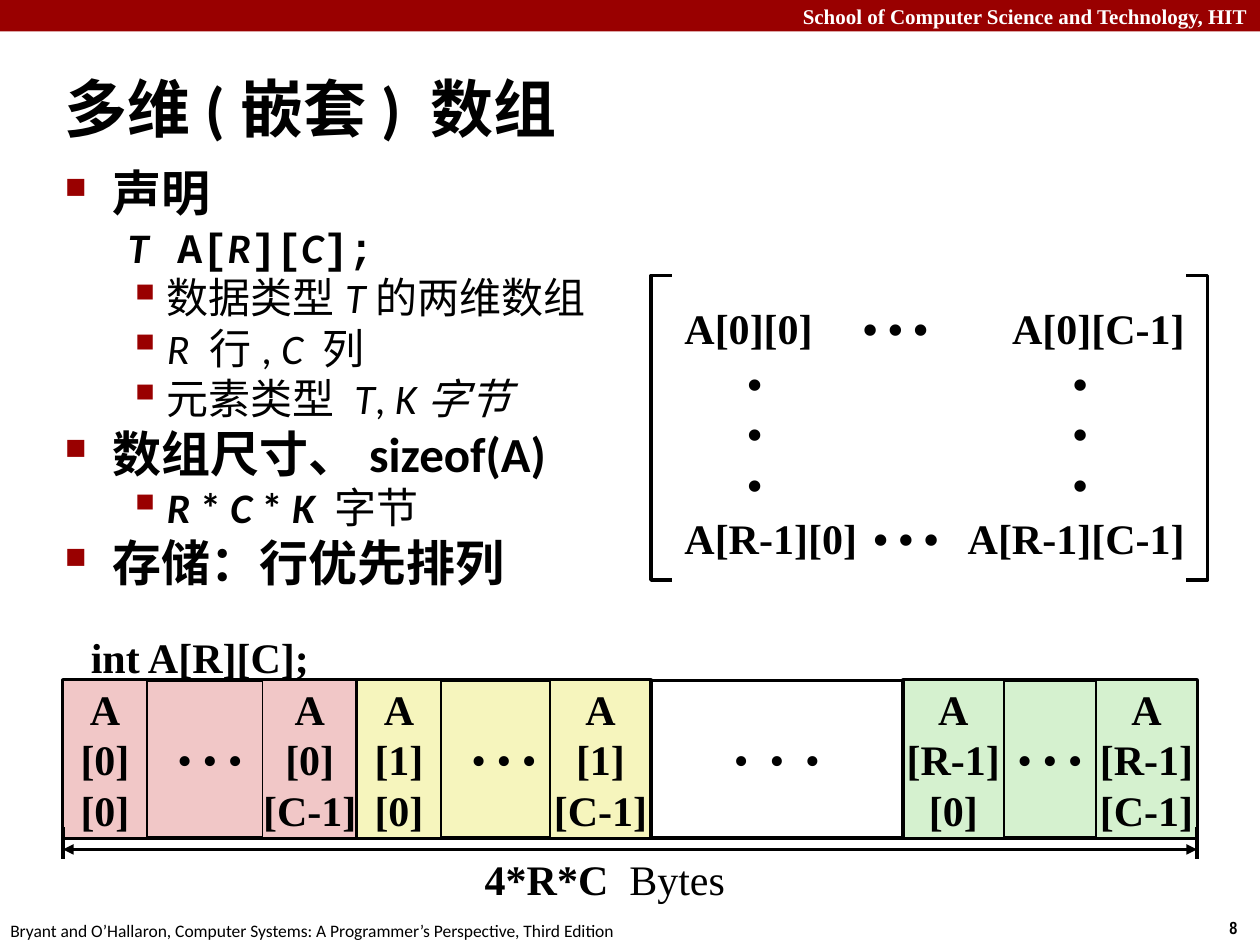
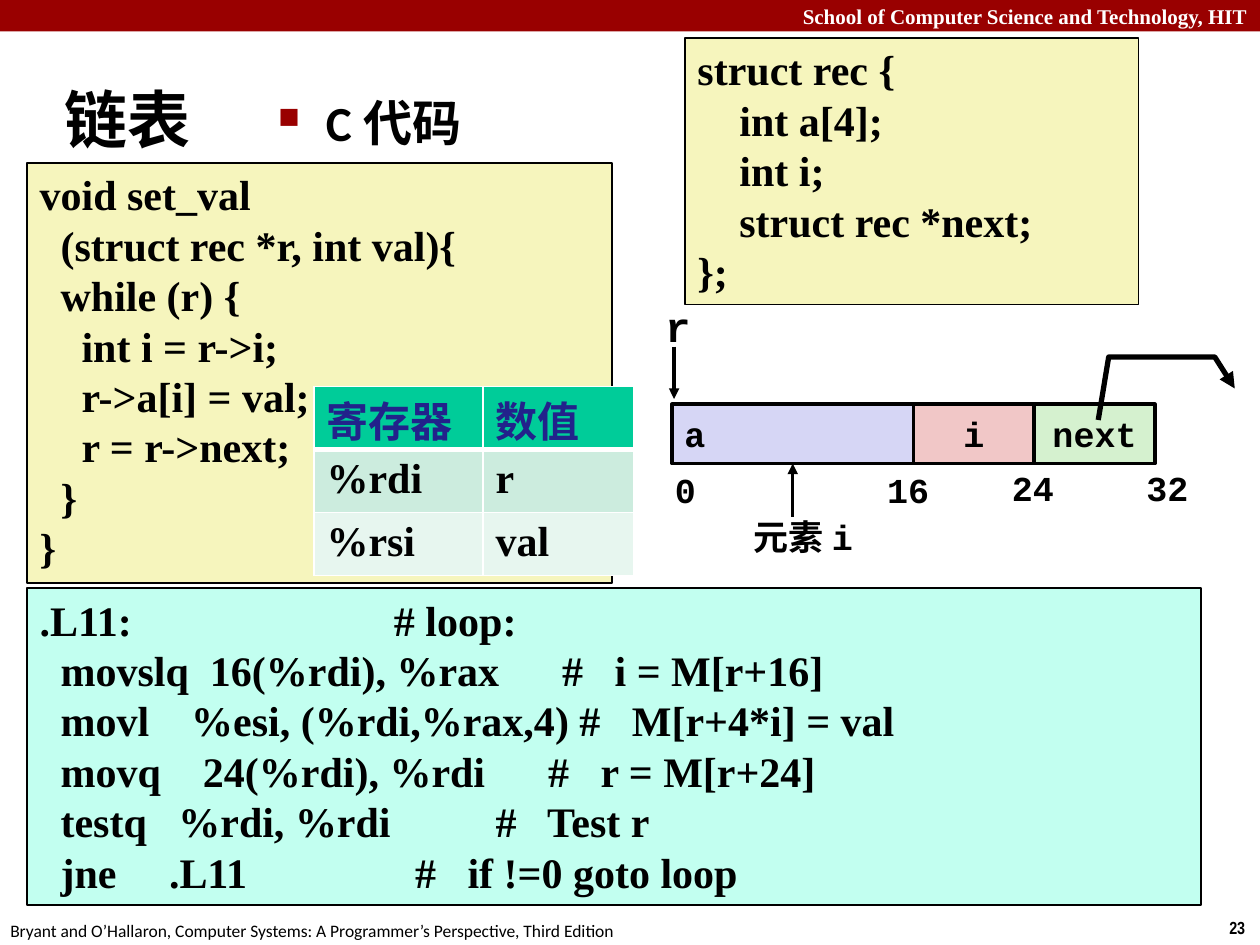
from lxml.etree import SubElement as Sub
from pptx import Presentation
from pptx.dml.color import RGBColor as Rgb
from pptx.enum.shapes import MSO_CONNECTOR as Conn, MSO_SHAPE as Kind
from pptx.enum.text import MSO_ANCHOR as Anchor, PP_ALIGN as Align
from pptx.oxml import parse_xml
from pptx.oxml.ns import nsdecls, qn
from pptx.util import Emu, Inches, Pt

UNIT = 76200
COLS, ROWS = 120, 90
RED, BLACK, WHITE = "990000", "000000", "FFFFFF"
PINK, CREAM, GREEN, LILAC, MINT = "F1C7C7", "F6F5BD", "D5F1CF", "D6D6F5", "C2FFF0"
TIMES = {"name": "Times New Roman", "size": Pt(24), "bold": True}
THIN = {"bold": False}
PLAIN = TIMES | THIN
SANS = TIMES | {"name": "Calibri"}
HEAD = SANS | {"size": Pt(36)}
MAIN = SANS | {"size": Pt(28)}
MONO = TIMES | {"name": "Courier New", "size": Pt(20)}
FOOT = {"name": "Calibri", "size": Pt(10)}
PAGE = {"name": "Arial Narrow", "size": Pt(10), "bold": True}
ITAL = {"italic": True}
FIXED = {"name": "Courier New"}
BULLETS = {0: ("■", 60, 0.38, 0.38), 1: ("▪", 110, 0.81, 0.31)}
DOTS = "• • •"


def hue(code):
    return Rgb.from_string(code)


def emu(n):
    return Emu(round(n * UNIT))


def inner(area, x, y, w, h):
    return area[0] + x, area[1] + y, w, h


def style(run, look, color=BLACK):
    for key, val in look.items():
        setattr(run.font, key, val)
    run.font.color.rgb = hue(color)
    Sub(run._r.get_or_add_rPr(), qn("a:ea"), typeface=look["name"])


def fill_text(para, runs, look, color=BLACK):
    for part in [runs] if isinstance(runs, str) else runs:
        words, extra = (part, {}) if isinstance(part, str) else part
        run = para.add_run()
        run.text = words
        style(run, look | extra, color)


def edge(shape, color, width, ends=()):
    shape.line.color.rgb = hue(color)
    shape.line.width = Pt(width)
    ln = shape._element.spPr.find(qn("a:ln"))
    for end in ends:
        Sub(ln, qn(f"a:{end}End"), type="triangle")


def put(s, area, lines, look=TIMES, align=Align.LEFT, fill=None, line=0,
        mid=True, wrap=False, color=BLACK):
    spot = [emu(n) for n in area]
    if fill:
        shape = s.shapes.add_shape(Kind.RECTANGLE, *spot)
        shape.shadow.inherit = False
        shape.fill.solid()
        shape.fill.fore_color.rgb = hue(fill)
        if line:
            edge(shape, BLACK, line)
        else:
            shape.line.fill.background()
    else:
        shape = s.shapes.add_textbox(*spot)
    frame = shape.text_frame
    frame.word_wrap = wrap
    frame.vertical_anchor = Anchor.MIDDLE if mid else Anchor.TOP
    for i, runs in enumerate(lines):
        para = frame.add_paragraph() if i else frame.paragraphs[0]
        para.alignment = align
        fill_text(para, runs, look, color)
    return shape


def link(s, x1, y1, x2, y2, ends=()):
    line = s.shapes.add_connector(Conn.STRAIGHT, *map(emu, (x1, y1, x2, y2)))
    edge(line, BLACK, 2, ends)
    Sub(line._element.spPr, qn("a:effectLst"))
    return line


def bend(s, area, spots, width, ends=()):
    (x, y), *rest = [(emu(area[0] + x), emu(area[1] + y)) for x, y in spots]
    pen = s.shapes.build_freeform(x, y)
    pen.add_line_segments(rest, close=False)
    shape = pen.convert_to_shape()
    shape.shadow.inherit = False
    shape.fill.background()
    edge(shape, BLACK, width, ends)


def frame(s, page):
    put(s, (0, 0, COLS, 3), ["School of Computer Science and Technology, HIT"],
        TIMES | {"size": Pt(12)}, Align.RIGHT, RED, color=WHITE)
    put(s, (115.9, 86.7, 4.1, 3.2), [str(page)], PAGE, mid=False)
    put(s, (-0.2, 87, 61, 3.2),
        ["Bryant and O’Hallaron, Computer Systems: A Programmer’s Perspective, Third Edition"],
        FOOT, mid=False)


def title(s, area, words):
    put(s, area, [words], HEAD, wrap=True)


def points(s, area, rows):
    shape = put(s, area, [], mid=False, wrap=True)
    text = shape.text_frame
    for i, (level, mark, runs) in enumerate(rows):
        para = text.add_paragraph() if i else text.paragraphs[0]
        para.level = level
        char, size, left, hang = BULLETS[level]
        props = para._p.get_or_add_pPr()
        props.set("marL", str(Inches(left)))
        props.set("indent", str(-Inches(hang)))
        if mark:
            Sub(Sub(props, qn("a:buClr")), qn("a:srgbClr"), val=RED)
            Sub(props, qn("a:buSzPct"), val=str(size * 1000))
            Sub(props, qn("a:buChar"), char=char)
        fill_text(para, runs, SANS if level else MAIN)


def matrix(s, area):
    w, h = area[2:]
    for y, lead, left, right in ((2, 19, "A[0][0]", "A[0][C-1]"),
                                 (22, 20, "A[R-1][0]", "A[R-1][C-1]")):
        put(s, inner(area, 2, y, 16, 6), [left], fill=WHITE)
        put(s, inner(area, lead, y, 12, 6), [DOTS], fill=WHITE)
        put(s, inner(area, 36, y, 16, 6), [right], align=Align.RIGHT, fill=WHITE)
    for x in (8, 39):
        put(s, inner(area, x, 10, 6, 10), ["•"] * 3, fill=WHITE)
    for tip, side in ((2, 0), (w - 2, w)):
        bend(s, area, [(tip, 0), (side, 0), (side, h), (tip, h)], 2)


def strip(s, area):
    h, wide = area[3], 28
    mid = {"align": Align.CENTER}
    for x, row, fill, first, last in ((0, "[0]", PINK, 8, 9),
                                      (28, "[1]", CREAM, 8, 9.6),
                                      (80, "[R-1]", GREEN, 9.6, 9.6)):
        put(s, inner(area, x, 0, wide, h), [DOTS], PLAIN, fill=fill, line=2.25, **mid)
        for left, w, col in ((x, first, "[0]"), (x + wide - last, last, "[C-1]")):
            put(s, inner(area, left, 0, w, h), ["A", row, col], fill=fill, line=1, **mid)
    put(s, inner(area, 56, 0, 24, h), ["•  •  •"], PLAIN, fill=WHITE, line=2, **mid)


def span(s, area):
    x, y, w, h = area
    for side in (x, x + w):
        link(s, side, y, side, y + h)
    link(s, x, y + 2.1, x + w, y + 2.1, ("head", "tail"))
    put(s, inner(area, 37, 2.4, 29.2, 5), [["4*R*C", ("  Bytes", THIN)]],
        align=Align.CENTER, fill=WHITE)


def code(s, area, words, fill):
    put(s, area, words.strip("\n").split("\n"), fill=fill, line=1, mid=False, wrap=True)


def record(s, area):
    bar = 10.5
    put(s, inner(area, -1.8, 0, 4.8, 6), ["r"], TIMES | FIXED, mid=False)
    x, y = area[:2]
    link(s, x + 0.2, y + 5, x + 0.2, y + 10, ("tail",))
    left, boxes = 0, []
    for name, w, fill, align in (("a", 23, LILAC, Align.LEFT),
                                 ("i", 11.5, PINK, Align.CENTER),
                                 ("next", 11.5, GREEN, Align.CENTER)):
        boxes.append(put(s, inner(area, left, bar, w, 5.65), [name], MONO, align, fill, 2))
        left += w
    for x0, y0, mark in ((-0.9, 16, "0"), (19.3, 16, "16"),
                         (31.2, 15.8, "24"), (44, 15.8, "32")):
        put(s, inner(area, x0, y0, 6.5, 5.2), [mark], MONO, mid=False)
    arrow = link(s, x + 11.5, y + 21.2, x + 11.5, y + 16.15, ("tail",))
    arrow.end_connect(boxes[0], 2)
    put(s, inner(area, 2.5, 20.5, 20, 5),
        [[("元素", {"name": "Calibri"}), "i"]], MONO, Align.CENTER, mid=False, wrap=True)
    bend(s, area, [(40.6, 12), (41.6, 6), (51.7, 6), (53.6, 9)], 3, ("tail",))


def border(cell, low):
    props = cell._tc.get_or_add_tcPr()
    for i, (side, width) in enumerate(zip("LRTB", (1, 1, 1, low))):
        props.insert(i, parse_xml(
            f'<a:ln{side} {nsdecls("a")} w="{Pt(width)}"><a:solidFill>'
            f'<a:srgbClr val="{WHITE}"/></a:solidFill></a:ln{side}>'))


def table(s, area, rows):
    grid = s.shapes.add_table(len(rows), 2, *map(emu, area)).table
    for col, w in zip(grid.columns, (16.1, 14.4)):
        col.width = emu(w)
    for r, (words, fill) in enumerate(zip(rows, ("00CC99", "CCECDE", "E7F6EF"))):
        grid.rows[r].height = emu(area[3] / len(rows))
        for c, word in enumerate(words):
            cell = grid.cell(r, c)
            cell.fill.solid()
            cell.fill.fore_color.rgb = hue(fill)
            border(cell, 1 if r else 3)
            look, color = TIMES, BLACK
            if r == 0:
                look, color = TIMES | {"name": "Noto Sans CJK SC"}, "22228B"
                cell.margin_top, cell.margin_bottom = Inches(0.02), 0
            fill_text(cell.text_frame.paragraphs[0], word, look, color)


def arrays(s):
    frame(s, 8)
    title(s, (5, 6.5, 106, 7.5), "多维(嵌套) 数组")
    slim = THIN | ITAL
    points(s, (5, 14.9, 58.2, 44.2), [
        (0, True, "声明"),
        (1, False, [("T   ", ITAL), ("A[", FIXED), ("R", ITAL), ("][", FIXED),
                    ("C", ITAL), ("];", FIXED)]),
        (1, True, [("数据类型", THIN), ("T", slim), ("的两维数组", THIN)]),
        (1, True, [("R ", slim), ("行, ", THIN), ("C ", slim), ("列", THIN)]),
        (1, True, [("元素类型 ", THIN), ("T", slim), (", ", THIN), ("K字节", slim)]),
        (0, True, "数组尺寸、sizeof(A)"),
        (1, True, [("R", ITAL), " * ", ("C ", ITAL), "* ", ("K ", ITAL), ("字节", THIN)]),
        (0, True, "存储：行优先排列")])
    matrix(s, (62, 26.25, 53, 29))
    put(s, (7.2, 59.6, 23.4, 6), ["int A[R][C];"], align=Align.RIGHT, mid=False)
    strip(s, (6, 64.8, 108, 15))
    span(s, (6, 78.8, 108, 3))


SETTER = """
void set_val
  (struct rec *r, int val){
  while (r) {
    int i = r->i;
    r->a[i] = val;
    r = r->next;
  }
}
"""
STRUCT = """
struct rec {
    int a[4];
    int i;
    struct rec *next;
};
"""
LOOP = """
.L11:                         # loop:
  movslq  16(%rdi), %rax      #   i = M[r+16]
  movl    %esi, (%rdi,%rax,4) #   M[r+4*i] = val
  movq    24(%rdi), %rdi      #   r = M[r+24]
  testq   %rdi, %rdi          #   Test r
  jne     .L11                #   if !=0 goto loop
"""


def chain(s):
    frame(s, 23)
    code(s, (2.6, 56, 111.8, 30.2), LOOP, MINT)
    code(s, (2.6, 15.5, 55.7, 40), SETTER, CREAM)
    title(s, (5, 7.5, 94.8, 7.5), "链表")
    points(s, (25.3, 8.2, 40, 9.4), [(0, True, "C代码")])
    code(s, (65.25, 3.6, 43.2, 25.4), STRUCT, CREAM)
    record(s, (64, 28, 54, 26))
    table(s, (29.9, 36.8, 30.5, 18), [("寄存器", "数值"), ("%rdi", "r"), ("%rsi", "val")])


def main():
    deck = Presentation()
    deck.slide_width, deck.slide_height = emu(COLS), emu(ROWS)
    for build in (arrays, chain):
        build(deck.slides.add_slide(deck.slide_layouts[6]))
    deck.save("out.pptx")


if __name__ == "__main__":
    main()
